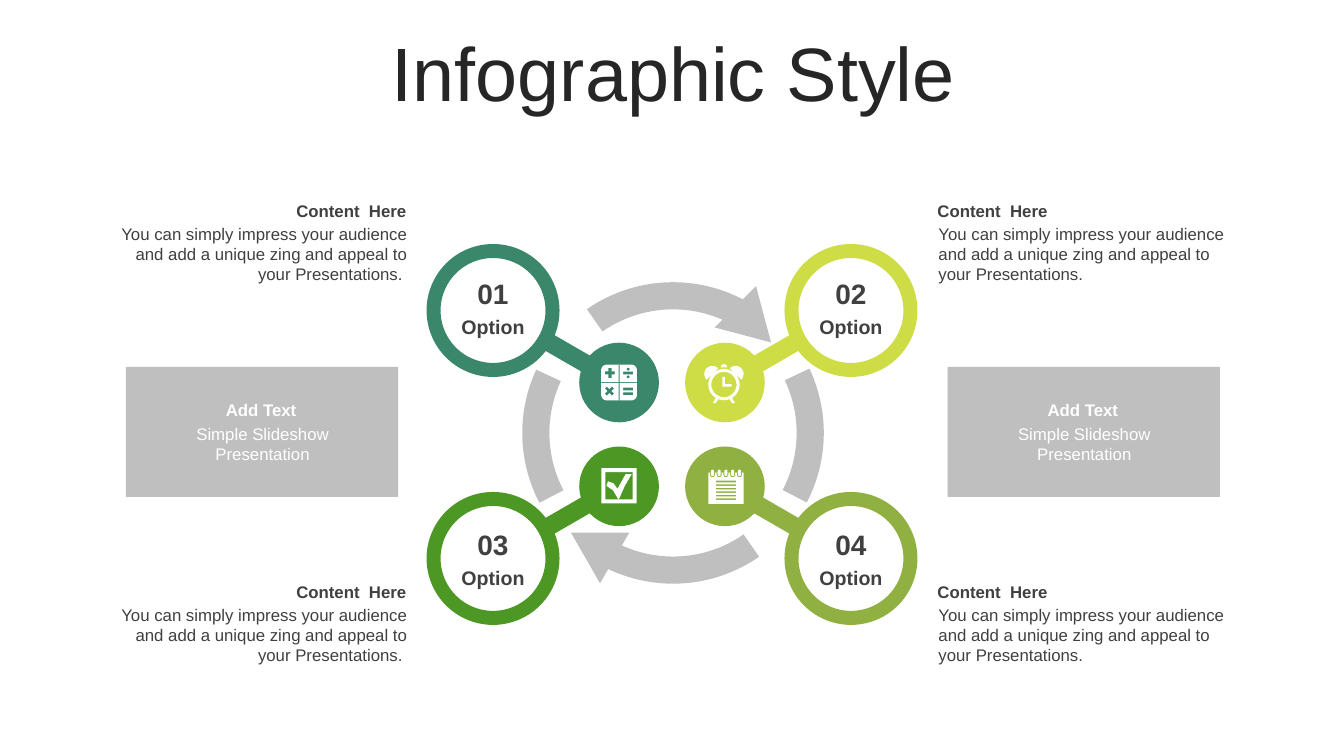
"""Build the four-option cycle slide on a grid of tenth-inch cells."""
import math

import pptx
import pptx.dml.color
import pptx.enum.shapes
import pptx.enum.text
import pptx.util

RGBColor = pptx.dml.color.RGBColor
KIND = pptx.enum.shapes.MSO_SHAPE
ALIGN = pptx.enum.text.PP_ALIGN
ANCHOR = pptx.enum.text.MSO_ANCHOR

CELL = pptx.util.Inches(0.1)
FINE = 100
MID_X, MID_Y = 66.65, 43.1

WHITE = RGBColor(0xFF, 0xFF, 0xFF)
INK = RGBColor(0x40, 0x40, 0x40)
DARK = RGBColor(0x26, 0x26, 0x26)
GRAY = RGBColor(0xBF, 0xBF, 0xBF)
TEAL = RGBColor(0x3A, 0x87, 0x6B)
LIME = RGBColor(0xCE, 0xDD, 0x46)
GREEN = RGBColor(0x4D, 0x97, 0x24)
OLIVE = RGBColor(0x90, 0xB1, 0x41)

PITCH = "You can simply impress your audience and add a unique zing and appeal to your Presentations."


def span(*cells):
    """Turn grid cells into slide lengths."""
    return [round(cell * CELL) for cell in cells]


def paint(shape, color):
    """Give a shape a plain fill without line or shadow."""
    shape.shadow.inherit = False
    shape.fill.solid()
    shape.fill.fore_color.rgb = color
    shape.line.fill.background()


def solid(slide, kind, x, y, wide, high, color, turn=0):
    """Add a filled preset shape centred on a grid point."""
    shape = slide.shapes.add_shape(kind, *span(x - wide / 2, y - high / 2, wide, high))
    shape.rotation = turn
    paint(shape, color)
    return shape


def style(frame, text, size, color, bold, align, anchor):
    """Fill a text frame with one formatted paragraph."""
    frame.text = text
    frame.word_wrap = True
    frame.auto_size = pptx.enum.text.MSO_AUTO_SIZE.NONE
    frame.vertical_anchor = anchor
    para = frame.paragraphs[0]
    para.alignment = align
    font = para.runs[0].font
    font.name, font.size, font.bold = "Arial", pptx.util.Pt(size), bold
    font.color.rgb = color


def label(slide, area, text, size=12, color=INK, bold=False, align=ALIGN.CENTER, anchor=ANCHOR.TOP):
    """Add a text box on the grid."""
    box = slide.shapes.add_textbox(*span(*area))
    style(box.text_frame, text, size, color, bold, align, anchor)


def arc(x, y, radius, start, stop, steps=12):
    """List the points of an arc between two angles in degrees."""
    turns = [math.radians(start + (stop - start) * i / steps) for i in range(steps + 1)]
    return [(x + radius * math.cos(t), y + radius * math.sin(t)) for t in turns]


def block(x, y, wide, high):
    """List the corners of a rectangle from its top left."""
    return [(x, y), (x + wide, y), (x + wide, y + high), (x, y + high)]


def cross(x, y, reach, half, turn=0):
    """List the corners of a plus sign."""
    arm = [(reach, -half), (reach, half), (half, half)]
    points = []
    for quarter in range(4):
        angle = math.radians(turn + 90 * quarter)
        cos, sin = math.cos(angle), math.sin(angle)
        points += [(x + a * cos - b * sin, y + a * sin + b * cos) for a, b in arm]
    return points


def clock():
    """Outline an alarm clock."""
    loops = [arc(-0.1, 0.2, radius, 0, 360, 48) for radius in (1.55, 1.25)]
    loops.append([(-0.25, -0.55), (0, -0.55), (0, 0.15), (0.65, 0.15), (0.65, 0.4), (-0.25, 0.4)])
    for side in (-1, 1):
        loops.append(arc(1.15 * side - 0.1, -0.85, 0.8, 180 + 45 * side, 360 + 45 * side))
        loops.append([(side * x - 0.1, y) for x, y in [(0.8, 1.5), (1.1, 2.05), (0.8, 2.05), (0.55, 1.63)]])
    return loops + [arc(-0.1, -1.5, 0.32, 180, 360)]


def notes():
    """Outline a spiral notepad."""
    loops = [block(-1.65, -1.35, 3.5, 3.1)]
    for i in range(5):
        x = (i - 2) * 0.67 + 0.1
        loops.append([(x - 0.25, -1.35), (x + 0.25, -1.35)] + arc(x, -1.15, 0.25, 0, 180))
        loops.append(arc(x, -1.5, 0.15, 180, 360) + arc(x, -1.17, 0.15, 0, 180))
    return loops + [block(-0.9, -0.55 + 0.35 * i, 2, 0.16) for i in range(6)]


def sums():
    """Outline a calculator with four signs."""
    edge, curve = 1.77, 0.55
    rim = []
    for i, (sx, sy) in enumerate([(1, 1), (-1, 1), (-1, -1), (1, -1)]):
        rim += arc(sx * (edge - curve), sy * (edge - curve), curve, 90 * i, 90 * i + 90)
    loops = [rim, cross(0, 0, edge, 0.05), cross(-0.9, -0.95, 0.5, 0.15), cross(-0.95, 0.85, 0.5, 0.15, 45)]
    loops += [block(0.4, y, 1, 0.27) for y in (-1.08, 0.5, 0.97)]
    return loops + [arc(0.9, y, 0.15, 0, 360) for y in (-1.33, -0.56)]


def tick():
    """Outline a ticked box."""
    mark = [(-1.25, -0.05), (-1.1, -0.5), (-0.55, -0.3), (-0.15, 0.25), (0.25, -0.5), (0.65, -1.2),
            (1.25, -1.2), (0.6, -0.1), (0, 1.25), (-0.1, 1.25), (-0.6, 0.4)]
    return [block(-1.75, -1.8, 3.5, 3.5), block(-1.35, -1.4, 2.7, 2.7), mark]


def trace(slide, x, y, loops):
    """Draw icon outlines as one white freeform around a grid point."""
    loops = [[((x + a) * FINE, (y + b) * FINE) for a, b in loop] for loop in loops]
    pen = slide.shapes.build_freeform(*loops[0][0], scale=CELL / FINE)
    for i, loop in enumerate(loops):
        if i:
            pen.move_to(*loop[0])
        pen.add_line_segments(loop[1:], close=True)
    paint(pen.convert_to_shape(), WHITE)


def node(slide, sx, sy, number, color, icon):
    """Add one option: ring, hub, link, icon and texts."""
    x, y = MID_X + 17.75 * sx, MID_Y + 12.3 * sy
    ring = solid(slide, KIND.OVAL, x, y, 11.8, 11.8, WHITE)
    ring.line.color.rgb = color
    ring.line.width = pptx.util.Pt(10)
    hub_x, hub_y = MID_X + 5.25 * sx, MID_Y + 5.15 * sy
    solid(slide, KIND.OVAL, hub_x, hub_y, 7.9, 7.9, color)
    solid(slide, KIND.RECTANGLE, MID_X + 10.25 * sx, MID_Y + 8 * sy, 5, 1.8, color, 30 * sx * sy)
    trace(slide, hub_x, hub_y, icon)
    top = y + 0.15 + 0.15 * sy
    label(slide, (x - 5.45, top, 10.9, 3.4), "Option", 14, bold=True)
    label(slide, (x - 3.5, top - 3.95, 7, 4.4), number, 20, bold=True, anchor=ANCHOR.MIDDLE)


def note(slide, sx, sy):
    """Add the heading and text beside one option."""
    left, align, tail = (10.6, ALIGN.RIGHT, " ") if sx < 0 else (92, ALIGN.LEFT, "")
    top = 38.3 + 18.9 * sy
    label(slide, (left, top, 30.7, 3), "Content  Here", bold=True, align=align, anchor=ANCHOR.MIDDLE)
    label(slide, (left + 0.1, top + 2.3, 30.7, 7.1), PITCH + tail, align=align)


def panel(slide, left):
    """Add a gray side panel with its two texts."""
    solid(slide, KIND.RECTANGLE, left + 13.5, 42.85, 27, 12.9, GRAY)
    label(slide, (left + 4.8, 39.2, 17.2, 3), "Add Text", color=WHITE, bold=True)
    label(slide, (left + 4.95, 41.55, 17.2, 5), "Simple Slideshow Presentation", color=WHITE)


def cycle(slide):
    """Add the gray arcs and arrowheads around the hubs."""
    for turn, start, stop in [(90, 146.85, 178.5), (270, 145.44, 176.89), (0, 141.11, 183.63), (180, 141.11, 183.63)]:
        band = solid(slide, KIND.BLOCK_ARC, 66.75, 42.95, 29.9, 29.9, GRAY, turn)
        for i, value in enumerate((start, stop, 0.09)):
            band.adjustments[i] = value
    for x, y, turn in [(74.7, 32.2, 135), (58.8, 54.1, 300)]:
        solid(slide, KIND.ISOSCELES_TRIANGLE, x, y, 5.8, 5, GRAY, turn)


def main():
    """Build and save the slide."""
    deck = pptx.Presentation()
    deck.slide_width, deck.slide_height = span(133.3, 75)
    slide = deck.slides.add_slide(deck.slide_layouts[5])
    title = slide.shapes.title
    title.left, title.top, title.width, title.height = span(3.5, 3.7, 126.6, 7.9)
    style(title.text_frame, "Infographic Style", 54, DARK, False, ALIGN.CENTER, ANCHOR.MIDDLE)
    title.text_frame.paragraphs[0].line_spacing = 0.9
    for left in (12.5, 94):
        panel(slide, left)
    cycle(slide)
    options = [(-1, -1, TEAL, sums()), (1, -1, LIME, clock()), (-1, 1, GREEN, tick()), (1, 1, OLIVE, notes())]
    for i, (sx, sy, color, icon) in enumerate(options, 1):
        note(slide, sx, sy)
        node(slide, sx, sy, f"{i:02}", color, icon)
    deck.save("out.pptx")


if __name__ == "__main__":
    main()
